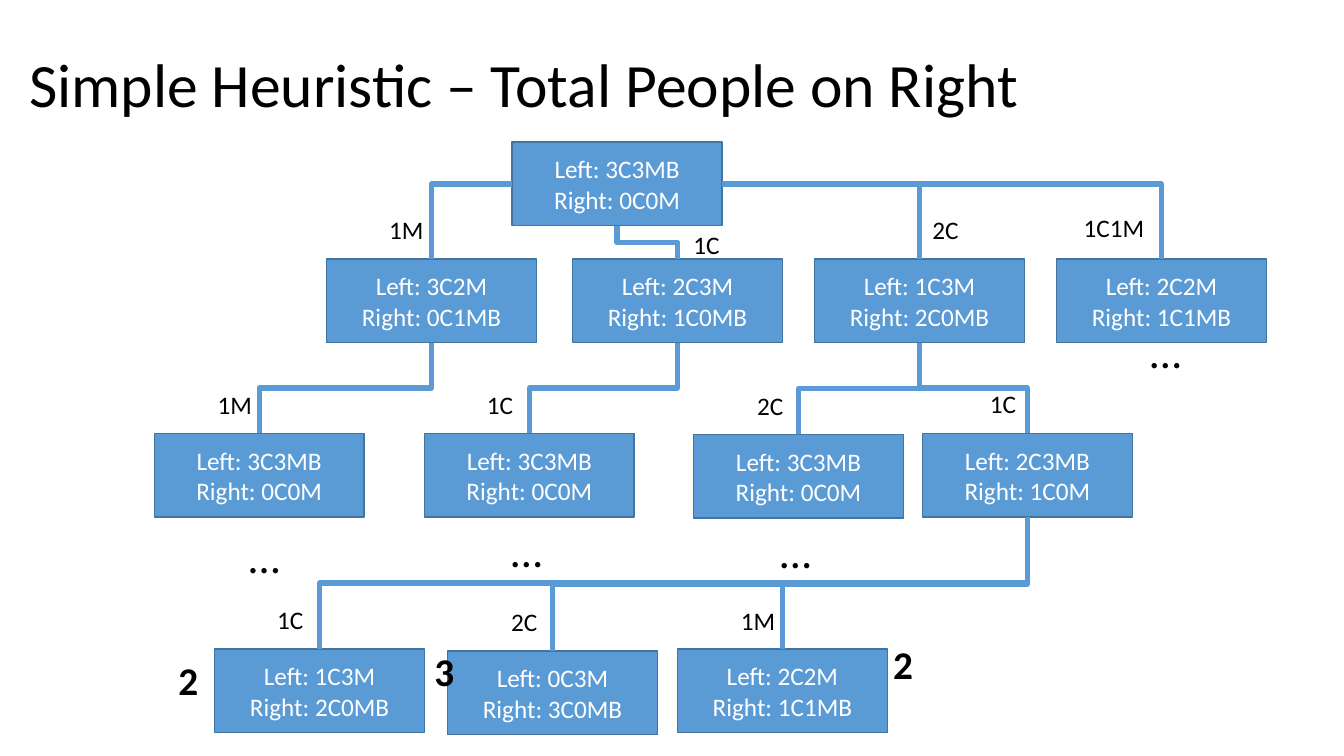
from pptx import Presentation
from pptx import util as u
from pptx.dml.color import RGBColor
from pptx.enum import shapes, text
from pptx.oxml import ns, xmlchemy

TITLE = "Simple Heuristic – Total People on Right"
NODES = {
    "root": ("3C3MB", "0C0M", 508, 141),
    "m": ("3C2M", "0C1MB", 324, 257),
    "c": ("2C3M", "1C0MB", 568, 257),
    "cc": ("1C3M", "2C0MB", 808, 257),
    "cm": ("2C2M", "1C1MB", 1048, 257),
    "m-m": ("3C3MB", "0C0M", 153, 430),
    "c-c": ("3C3MB", "0C0M", 421, 430),
    "cc-cc": ("3C3MB", "0C0M", 688, 431),
    "cc-c": ("2C3MB", "1C0M", 915, 430),
    "end-c": ("1C3M", "2C0MB", 213, 644),
    "end-cc": ("0C3M", "3C0MB", 444, 646),
    "end-m": ("2C2M", "1C1MB", 672, 644),
}
TOP, LEFT, BOTTOM, RIGHT = range(4)
EDGES = [
    ("root", "m", LEFT), ("root", "c", BOTTOM),
    ("root", "cc", RIGHT), ("root", "cm", RIGHT),
    ("m", "m-m", BOTTOM), ("c", "c-c", BOTTOM),
    ("cc", "cc-cc", BOTTOM), ("cc", "cc-c", BOTTOM),
    ("cc-c", "end-c", BOTTOM), ("cc-c", "end-cc", BOTTOM),
    ("cc-c", "end-m", BOTTOM),
]
MOVES = [
    ("1M", 376, 208, 55), ("1C", 678, 223, 46), ("2C", 915, 208, 46),
    ("1C1M", 1065, 206, 81), ("1M", 206, 381, 55), ("1C", 473, 381, 55),
    ("2C", 741, 382, 55), ("1C", 972, 380, 55), ("1C", 265, 595, 55),
    ("2C", 497, 597, 55), ("1M", 725, 596, 55),
]
DOTS = [(237, 520), (497, 514), (764, 515), (1131, 316)]
SCORES = [("2", 167, 646), ("3", 421, 637), ("2", 876, 630)]
COLORS = {"box": "5B9BD5", "edge": "43739E", "ink": "000000", "light": "FFFFFF"}
FONT = "Calibri"
BOX_W, BOX_H = 208, 83
SCALE = 9144


def px(*vals):
    return [u.Emu(round(v * SCALE)) for v in vals]


def color(name):
    return RGBColor.from_string(COLORS[name])


def write(para, words, size, tint, bold=False):
    run = para.add_run()
    run.text = words
    font = run.font
    font.name, font.size, font.bold = FONT, u.Pt(size), bold
    font.color.rgb = color(tint)


def add_node(slide, left, right, x, y):
    box = slide.shapes.add_shape(
        shapes.MSO_SHAPE.RECTANGLE, *px(x, y, BOX_W, BOX_H))
    box.shadow.inherit = False
    box.fill.solid()
    box.fill.fore_color.rgb = color("box")
    box.line.color.rgb = color("edge")
    box.line.width = u.Pt(1)
    frame = box.text_frame
    frame.vertical_anchor = text.MSO_ANCHOR.MIDDLE
    lines = [f"Left: {left}", f"Right: {right}"]
    for para, line in zip([frame.paragraphs[0], frame.add_paragraph()], lines):
        para.alignment = text.PP_ALIGN.CENTER
        write(para, line, 18, "light")
    return box


def add_edge(slide, start, end, site):
    line = slide.shapes.add_connector(shapes.MSO_CONNECTOR.ELBOW, 0, 0, 0, 0)
    line.begin_connect(start, site)
    line.end_connect(end, TOP)
    x1, y1, x2, y2 = line.begin_x, line.begin_y, line.end_x, line.end_y
    wide, high = abs(x2 - x1), y2 - y1
    props = line._element.spPr
    frame = props.find(ns.qn("a:xfrm"))
    for name in ("flipH", "flipV"):
        frame.attrib.pop(name, None)
    if site == BOTTOM:
        turn, flip = (270, "flipH") if x2 > x1 else (90, None)
        size = high, wide
    else:
        turn, flip = (180, "flipV") if site == LEFT else (0, None)
        size = wide, high
        props.find(ns.qn("a:prstGeom")).set("prst", "bentConnector2")
    line.width, line.height = size
    line.left = (x1 + x2 - size[0]) // 2
    line.top = (y1 + y2 - size[1]) // 2
    frame.set("rot", str(turn * 60000))
    if flip:
        frame.set(flip, "1")
    line.line.color.rgb = color("box")
    line.line.width = u.Pt(3.75)
    props.append(xmlchemy.OxmlElement("a:effectLst"))


def add_label(slide, words, x, y, w, h, size, wrap, bold=False):
    frame = slide.shapes.add_textbox(*px(x, y, w, h)).text_frame
    frame.word_wrap = wrap
    frame.auto_size = text.MSO_AUTO_SIZE.SHAPE_TO_FIT_TEXT
    write(frame.paragraphs[0], words, size, "ink", bold)


def main():
    deck = Presentation()
    deck.slide_width, deck.slide_height = px(1333, 750)
    slide = deck.slides.add_slide(deck.slide_layouts[5])
    title = slide.shapes.title
    title.left, title.top, title.width, title.height = px(19, 14, 1298, 145)
    frame = title.text_frame
    frame.vertical_anchor = text.MSO_ANCHOR.MIDDLE
    frame.auto_size = text.MSO_AUTO_SIZE.NONE
    para = frame.paragraphs[0]
    para.alignment = text.PP_ALIGN.LEFT
    para.line_spacing = 0.9
    write(para, TITLE, 44, "ink")

    boxes = {key: add_node(slide, *node) for key, node in NODES.items()}
    for start, end, site in EDGES:
        add_edge(slide, boxes[start], boxes[end], site)
    for words, x, y, w in MOVES:
        add_label(slide, words, x, y, w, 40, 18, w == 55)
    for x, y in DOTS:
        add_label(slide, "…", x, y, 51, 64, 32, False)
    for words, x, y in SCORES:
        add_label(slide, words, x, y, 41, 57, 28, True, True)
    deck.save("out.pptx")


if __name__ == "__main__":
    main()
